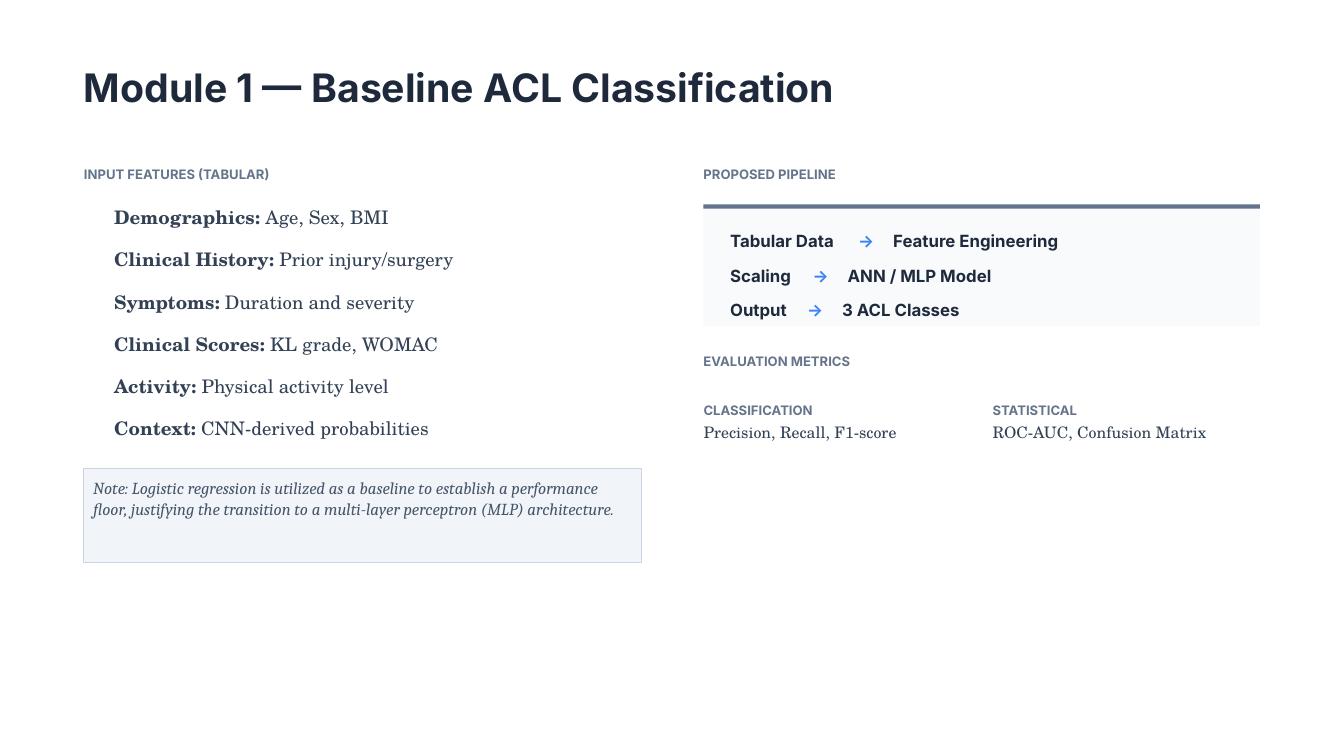
"""Build the slide on baseline ACL classification: features, pipeline and metrics."""
from dataclasses import dataclass

from pptx import Presentation
from pptx.dml.color import RGBColor as RGB
from pptx.enum.shapes import MSO_SHAPE as SHAPE
from pptx.util import Pt

PX = 9525


@dataclass(frozen=True)
class Style:
    font: str
    size: int
    color: str
    leading: float
    bold: bool = False
    italic: bool = False


@dataclass(frozen=True)
class Theme:
    title: Style = Style("Inter", 42, "1E293B", 50.4, bold=True)
    label: Style = Style("Inter", 14, "64748B", 16.8, bold=True)
    feature: Style = Style("TeX Gyre Schola", 20, "334155", 30.7)
    note: Style = Style("Cambria", 18, "475569", 21.6, italic=True)
    stage: Style = Style("Inter", 18, "1E293B", 21.6, bold=True)
    arrow: Style = Style("Inter", 18, "3B82F6", 21.6, bold=True)
    metric: Style = Style("TeX Gyre Schola", 17, "334155", 20.4)
    page: str = "FFFFFF"
    note_fill: str = "F1F5F9"
    note_line: str = "CBD5E1"
    card: str = "F8FAFC"
    accent: str = "64748B"


theme = Theme()
deck = Presentation()
deck.slide_width, deck.slide_height = 1920 * PX, 1080 * PX
slide = deck.slides.add_slide(deck.slide_layouts[6])
slide.background.fill.solid()
slide.background.fill.fore_color.rgb = RGB.from_string(theme.page)


def panel(left, top, width, height, fill, line=None):
    block = slide.shapes.add_shape(SHAPE.RECTANGLE, left * PX, top * PX, width * PX, height * PX)
    block.shadow.inherit = False
    block.fill.solid()
    block.fill.fore_color.rgb = RGB.from_string(fill)
    if line:
        block.line.color.rgb = RGB.from_string(line)
        block.line.width = Pt(1.44)
    else:
        block.line.fill.background()


def write(text, left, top, width, height, style, lead=""):
    frame = slide.shapes.add_textbox(left * PX, top * PX, width * PX, height * PX).text_frame
    frame.margin_left = frame.margin_top = frame.margin_right = frame.margin_bottom = 0
    frame.word_wrap = True
    frame.text = lead or text
    paragraph = frame.paragraphs[0]
    paragraph.line_spacing = Pt(style.leading)
    if lead:
        paragraph.add_run().text = text
    for run in paragraph.runs:
        run.font.name = style.font
        run.font.size = Pt(style.size)
        run.font.color.rgb = RGB.from_string(style.color)
        run.font.bold = style.bold or run.text == lead
        run.font.italic = style.italic


LEFT, RIGHT, COLUMN = 120, 1005, 795

panel(119, 669, 797, 135, theme.note_fill, theme.note_line)
panel(RIGHT, 292, COLUMN, 174, theme.card)
panel(RIGHT, 292, COLUMN, 6, theme.accent)

write("Module 1 — Baseline ACL Classification", LEFT, 90, 1680, 84, theme.title)

for heading, left, top in [
    ("INPUT FEATURES (TABULAR)", LEFT, 238),
    ("PROPOSED PIPELINE", RIGHT, 238),
    ("EVALUATION METRICS", RIGHT, 505),
]:
    write(heading, left, top, COLUMN, 24, theme.label)

features = [
    ("Demographics:", " Age, Sex, BMI"),
    ("Clinical History:", " Prior injury/surgery"),
    ("Symptoms:", " Duration and severity"),
    ("Clinical Scores:", " KL grade, WOMAC"),
    ("Activity:", " Physical activity level"),
    ("Context:", " CNN-derived probabilities"),
]
for row, (feature, detail) in enumerate(features):
    write(detail, 163, 285 + row * 121 // 2, 752, 53, theme.feature, lead=feature)

write(
    "Note: Logistic regression is utilized as a baseline to establish a performance floor, "
    "justifying the transition to a multi-layer perceptron (MLP) architecture.",
    133, 683, 768, 108, theme.note,
)

pipeline = [
    ("Tabular Data", 161, "Feature Engineering", 261),
    ("Scaling", 96, "ANN / MLP Model", 223),
    ("Output", 88, "3 ACL Classes", 186),
]
for row, (source, source_width, target, target_width) in enumerate(pipeline):
    top = 329 + (row * 99 + 1) // 2
    arrow_left = 1043 + source_width + 22
    write(source, 1043, top, source_width, 32, theme.stage)
    write("→", arrow_left, top, 27, 32, theme.arrow)
    write(target, arrow_left + 50, top, target_width, 32, theme.stage)

metrics = [
    ("CLASSIFICATION", "Precision, Recall, F1-score"),
    ("STATISTICAL", "ROC-AUC, Confusion Matrix"),
]
for column, (group, measures) in enumerate(metrics):
    left = RIGHT + column * 413
    write(group, left, 575, 382, 24, theme.label)
    write(measures, left, 604, 382, 29, theme.metric)

deck.save("out.pptx")
